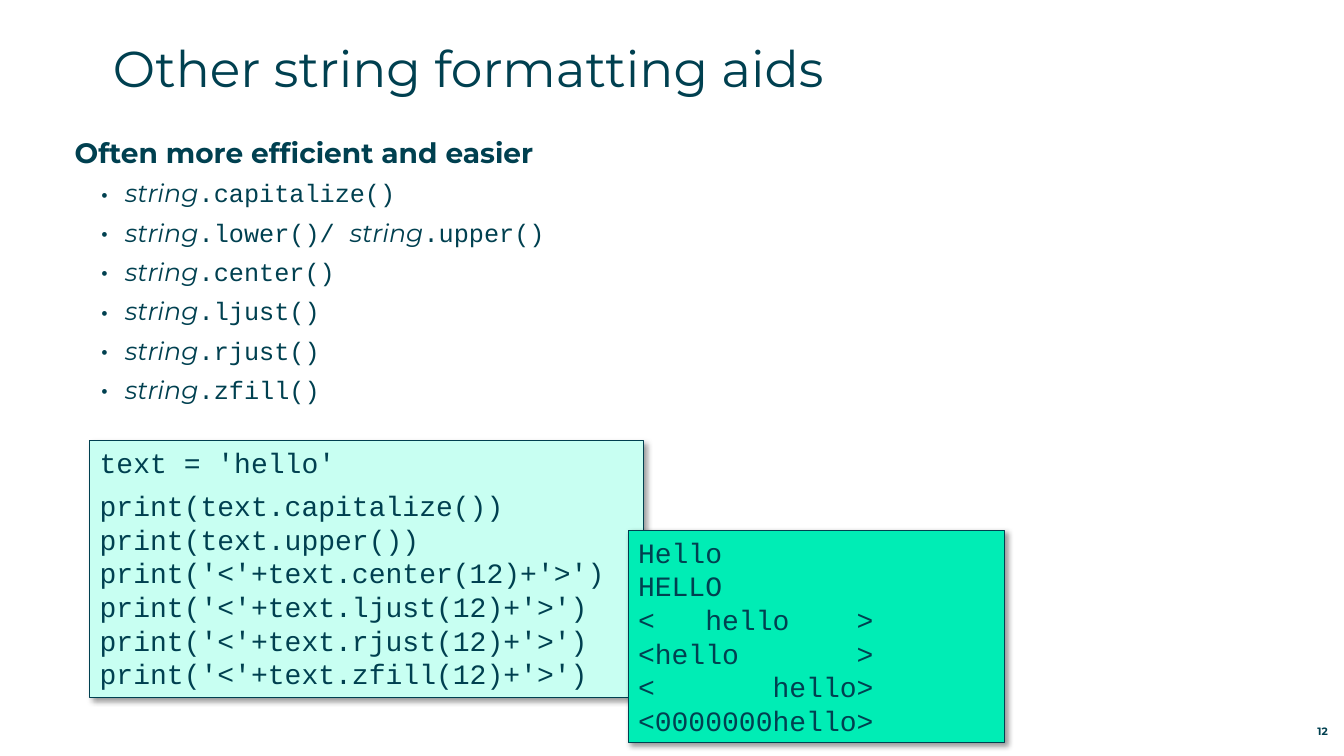
from dataclasses import dataclass

from lxml import etree
from pptx import Presentation
from pptx.dml.color import RGBColor
from pptx.enum.shapes import MSO_SHAPE
from pptx.enum.text import MSO_ANCHOR, MSO_AUTO_SIZE, PP_ALIGN
from pptx.oxml.ns import qn
from pptx.shapes.autoshape import Shape
from pptx.text.text import TextFrame, _Paragraph
from pptx.util import Inches, Pt

RECTANGLE = MSO_SHAPE.RECTANGLE
TOP, BOTTOM = MSO_ANCHOR.TOP, MSO_ANCHOR.BOTTOM
LEFT, RIGHT = PP_ALIGN.LEFT, PP_ALIGN.RIGHT
NO_AUTOFIT, GROW = MSO_AUTO_SIZE.NONE, MSO_AUTO_SIZE.SHAPE_TO_FIT_TEXT

SANS, MONO = "Montserrat", "Courier New"
INK = "004050"
METHODS = [
    ["capitalize()"],
    ["lower()/ ", "upper()"],
    ["center()"],
    ["ljust()"],
    ["rjust()"],
    ["zfill()"],
]


@dataclass
class CodeBox:
    left: float
    top: float
    width: float
    height: float
    fill: str
    lines: list[str]
    first_gap: float = 0


CODE_BOXES = [
    CodeBox(0.89, 4.37, 5.49, 2.55, "C8FFF2", [
        "text = 'hello'",
        "print(text.capitalize())",
        "print(text.upper())",
        *[f"print('<'+text.{method}(12)+'>')"
          for method in ("center", "ljust", "rjust", "zfill")],
    ], first_gap=6.8),
    CodeBox(6.23, 5.26, 3.73, 2.11, "00EDB5", [
        "Hello",
        "HELLO",
        "<   hello    >",
        "<hello       >",
        "<       hello>",
        "<0000000hello>",
    ]),
]


def color(value: str) -> RGBColor:
    return RGBColor.from_string(value)


def add_text(paragraph: _Paragraph, text: str, *, size: float, font: str = SANS,
             bold: bool = False, italic: bool = False) -> None:
    run = paragraph.add_run()
    run.text = text
    run.font.name = font
    run.font.size = Pt(size)
    run.font.bold = bold
    run.font.italic = italic
    run.font.color.rgb = color(INK)


def next_paragraph(frame: TextFrame, index: int) -> _Paragraph:
    return frame.add_paragraph() if index else frame.paragraphs[0]


def prepare_frame(shape: Shape, anchor: MSO_ANCHOR = TOP) -> TextFrame:
    """Remove the margins and keep the shape at its size."""
    frame = shape.text_frame
    frame.margin_left = frame.margin_right = frame.margin_top = frame.margin_bottom = 0
    frame.word_wrap = True
    frame.auto_size = NO_AUTOFIT
    frame.vertical_anchor = anchor
    return frame


def add_bullet(paragraph: _Paragraph) -> None:
    paragraph.level = 1
    properties = paragraph._p.get_or_add_pPr()
    properties.set("marL", str(Inches(0.5)))
    properties.set("indent", str(Inches(-0.25)))
    etree.SubElement(properties, qn("a:buSzPct"), val="125000")
    etree.SubElement(properties, qn("a:buFont"), typeface=SANS)
    etree.SubElement(properties, qn("a:buChar"), char="•")


def add_shadow(shape: Shape) -> None:
    shape.shadow.inherit = False
    effects = shape._element.spPr.find(qn("a:effectLst"))
    shadow = etree.SubElement(
        effects, qn("a:outerShdw"), blurRad=str(Pt(4)), dist=str(Pt(3)),
        dir=str(45 * 60000), algn="tl", rotWithShape="0")
    shade = etree.SubElement(shadow, qn("a:srgbClr"), val="000000")
    etree.SubElement(shade, qn("a:alpha"), val="40000")


def add_title(slide) -> None:
    title = slide.shapes.title
    title.left, title.top = Inches(1.12), Inches(0.37)
    title.width, title.height = Inches(12.6), Inches(0.88)
    paragraph = prepare_frame(title).paragraphs[0]
    paragraph.alignment = LEFT
    paragraph.line_spacing = 1.0
    add_text(paragraph, "Other string formatting aids", size=36)


def add_methods(slide) -> None:
    box = slide.shapes.add_textbox(Inches(0.74), Inches(1.34), Inches(12.59), Inches(5.42))
    frame = prepare_frame(box)
    heading = frame.paragraphs[0]
    heading.space_after = Pt(6.5)
    add_text(heading, "Often more efficient and easier", size=20, bold=True)
    for calls in METHODS:
        paragraph = frame.add_paragraph()
        paragraph.space_after = Pt(6.5)
        add_bullet(paragraph)
        for call in calls:
            add_text(paragraph, "string", size=18, italic=True)
            add_text(paragraph, f".{call}", size=18, font=MONO)


def add_code_box(slide, box: CodeBox) -> None:
    shape = slide.shapes.add_shape(
        RECTANGLE, Inches(box.left), Inches(box.top), Inches(box.width), Inches(box.height))
    shape.fill.solid()
    shape.fill.fore_color.rgb = color(box.fill)
    shape.line.color.rgb = color(INK)
    shape.line.width = Pt(0.75)
    add_shadow(shape)
    frame = shape.text_frame
    frame.word_wrap = True
    frame.auto_size = GROW
    frame.vertical_anchor = TOP
    for index, line in enumerate(box.lines):
        paragraph = next_paragraph(frame, index)
        paragraph.alignment = LEFT
        paragraph.line_spacing = Pt(24)
        paragraph.space_after = Pt(0 if index else box.first_gap)
        add_text(paragraph, line, size=20, font=MONO)


def add_slide_number(slide) -> None:
    box = slide.shapes.add_textbox(Inches(12.31), Inches(7.12), Inches(0.86), Inches(0.2))
    paragraph = prepare_frame(box, BOTTOM).paragraphs[0]
    paragraph.alignment = RIGHT
    add_text(paragraph, "12", size=7.6, bold=True)


def main() -> None:
    presentation = Presentation()
    presentation.slide_width = Inches(13.33)
    presentation.slide_height = Inches(7.5)
    slide = presentation.slides.add_slide(presentation.slide_layouts.get_by_name("Title Only"))
    add_title(slide)
    add_methods(slide)
    for box in CODE_BOXES:
        add_code_box(slide, box)
    add_slide_number(slide)
    presentation.save("out.pptx")


if __name__ == "__main__":
    main()
